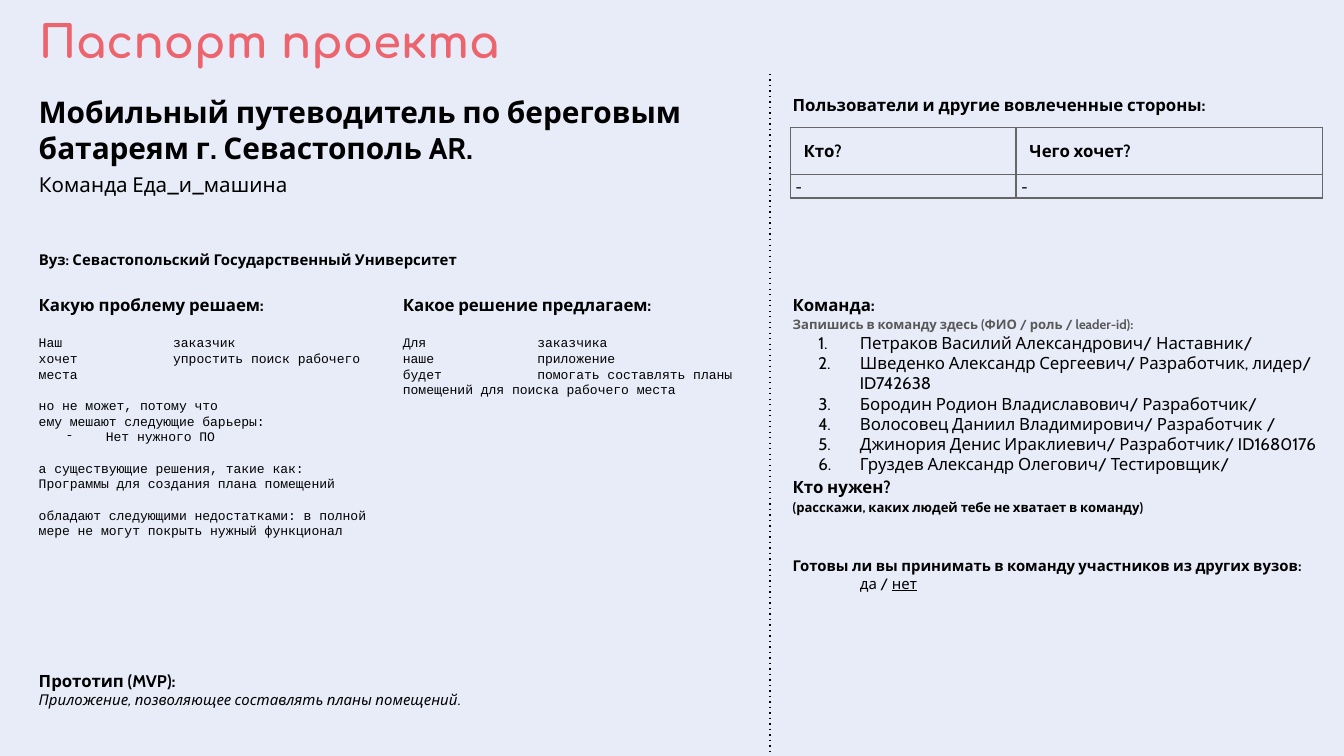
from lxml import etree
from pptx import Presentation
from pptx import util as u
from pptx.dml.color import RGBColor
from pptx.enum import shapes, text
from pptx.oxml import parse_xml
from pptx.oxml.ns import nsdecls, qn

W = 10
H = W * 9 / 16
LEFT, MIDDLE, RIGHT = 0.019 * W, 0.29 * W, 0.58 * W  # text columns
HEAD_ROW, BODY_ROW = 0.6, 2.09  # rows shared by the columns
BLACK, GREY, CORAL = "000000", "595959", "EC646E"


def write(tf, txt, sz=9, font="Cabin", color=BLACK, bold=False, italic=False,
          underline=False, new=True, before=0, spacing=None, indent=0,
          hang=0, bullet=None):
    p = tf.paragraphs[-1]
    if new and p.runs:
        p = tf.add_paragraph()
    if before:
        p.space_before = u.Pt(before)
    if spacing:
        p.line_spacing = spacing
    pPr = p._p.get_or_add_pPr()
    pPr.set("defTabSz", str(u.Inches(1)))
    if indent:
        pPr.set("marL", str(u.Inches(indent)))
        pPr.set("indent", str(-u.Inches(hang)))
    if bullet == "number":
        etree.SubElement(pPr, qn("a:buAutoNum"), type="arabicPeriod")
    elif bullet:
        etree.SubElement(pPr, qn("a:buFont"), typeface=font)
        etree.SubElement(pPr, qn("a:buChar"), char=bullet)
    r = p.add_run()
    r.text = txt
    f = r.font
    f.name, f.size, f.bold, f.italic, f.underline = font, u.Pt(sz), bold, italic, underline
    f.color.rgb = RGBColor.from_string(color)


def box(x, y, w, h):
    tf = s.shapes.add_textbox(*map(u.Inches, (x, y, w, h))).text_frame
    tf.word_wrap = True
    tf.margin_left = tf.margin_right = tf.margin_top = tf.margin_bottom = u.Inches(0.1)
    return tf


prs = Presentation()
prs.slide_width, prs.slide_height = u.Inches(W), u.Inches(H)
s = prs.slides.add_slide(prs.slide_layouts[6])
s.background.fill.solid()
s.background.fill.fore_color.rgb = RGBColor.from_string("E8ECF8")

# Title
tf = box(LEFT, 0, 8.52, 0.6)
tf.vertical_anchor = text.MSO_ANCHOR.MIDDLE
write(tf, "Паспорт проекта", sz=24, font="Comfortaa", color=CORAL, bold=True)

# Project name, team name, university
for y, w, h, txt, sz, bold in [
    (HEAD_ROW, 5.26, 0.48, "Мобильный путеводитель по береговым батареям г. Севастополь AR.", 16, True),
    (1.19, 2.95, 0.31, "Команда Еда_и_машина", 11, False),
    (1.8, 4.48, 0.44, "Вуз: Севастопольский Государственный Университет", 8, True),
]:
    write(box(LEFT, y, w, h), txt, sz=sz, bold=bold)

# Problem and solution: each line with the gap above it and its bullet
GAP, LINE = 10.8, 8.4
problem = [
    ("Наш\tзаказчик", GAP, None),
    ("хочет\tупростить поиск рабочего места", 0, None),
    ("но не может, потому что", LINE, None),
    ("ему мешают следующие барьеры:", 0, None),
    ("Нет нужного ПО", 0, "-"),
    ("а существующие решения, такие как:", LINE, None),
    ("Программы для создания плана помещений", 0, None),
    ("обладают следующими недостатками: в полной мере не могут покрыть нужный функционал", LINE, None),
]
solution = [
    ("Для\tзаказчика", GAP, None),
    ("наше\tприложение", 0, None),
    ("будет\tпомогать составлять планы помещений для поиска рабочего места", 0, None),
]
for x, h, head, lines in [
    (LEFT, 2.62, "Какую проблему решаем:", problem),
    (MIDDLE, 1.87, "Какое решение предлагаем:", solution),
]:
    tf = box(x, BODY_ROW, 2.76, h)
    write(tf, head, bold=True)
    for txt, before, bullet in lines:
        write(tf, txt, sz=7, font="Courier New", before=before, bullet=bullet,
              indent=0.5 if bullet else 0, hang=0.3)

# Prototype
tf = box(LEFT, 4.89, 4.94, 1.07)
write(tf, "Прототип (MVP):", bold=True)
write(tf, "Приложение, позволяющее составлять планы помещений.", sz=8, italic=True)

# Dotted divider
x = u.Inches(0.573 * W)
divider = s.shapes.add_connector(shapes.MSO_CONNECTOR.STRAIGHT, x, u.Inches(0.55), x, u.Inches(6.18))
divider.line.color.rgb = RGBColor.from_string(BLACK)
divider.line.width = u.Pt(0.75)
etree.SubElement(divider.line._get_or_add_ln(), qn("a:prstDash"), val="dot")
etree.SubElement(divider._element.spPr, qn("a:effectLst"))

# Stakeholder table
write(box(RIGHT, HEAD_ROW + 0.03, 4.16, 0.48), "Пользователи и другие вовлеченные стороны:", bold=True)
cols, rows = (1.68, 2.28), (0.35, 0.17)
frame = s.shapes.add_table(2, 2, *map(u.Inches, (5.88, 0.95, sum(cols), sum(rows))))
table = frame.table
for i, w in enumerate(cols):
    table.columns[i].width = u.Inches(w)
for i, (h, cells) in enumerate(zip(rows, [("Кто?", "Чего хочет?"), ("-", "-")])):
    table.rows[i].height = u.Inches(h)
    for j, txt in enumerate(cells):
        cell = table.cell(i, j)
        cell.margin_left = cell.margin_right = u.Inches(0.04 if i else 0.1)
        cell.margin_top = cell.margin_bottom = u.Inches(0.02 if i else 0.1)
        write(cell.text_frame, txt, sz=8 if i else 9, bold=i == 0)
        cell.fill.background()
        for k, side in enumerate("LRTB"):
            cell._tc.get_or_add_tcPr().insert(k, parse_xml(
                f'<a:ln{side} {nsdecls("a")} w="{u.Pt(0.75)}"><a:solidFill>'
                f'<a:srgbClr val="666666"/></a:solidFill></a:ln{side}>'))

# Team
tf = box(RIGHT, BODY_ROW, 4.2, 2.85)
write(tf, "Команда:", bold=True)
write(tf, "Запишись в команду здесь (ФИО / роль / leader-id):", sz=7, color=GREY, bold=True, spacing=1.15)
for member in [
    "Петраков Василий Александрович/ Наставник/",
    "Шведенко Александр Сергеевич/ Разработчик, лидер/ ID742638",
    "Бородин Родион Владиславович/ Разработчик/",
    "Волосовец Даниил Владимирович/ Разработчик /",
    "Джинория Денис Ираклиевич/ Разработчик/ ID1680176",
    "Груздев Александр Олегович/ Тестировщик/",
]:
    write(tf, member, indent=0.5, hang=0.31, bullet="number")
write(tf, "Кто нужен?", bold=True, spacing=1.15)
write(tf, "(расскажи, каких людей тебе не хватает в команду)", sz=7, bold=True, spacing=1.15)
write(tf, "Готовы ли вы принимать в команду участников из других вузов:", sz=8, bold=True, before=22)
write(tf, "да / ", sz=8, indent=0.5)
write(tf, "нет", sz=8, underline=True, new=False)

prs.save("out.pptx")
